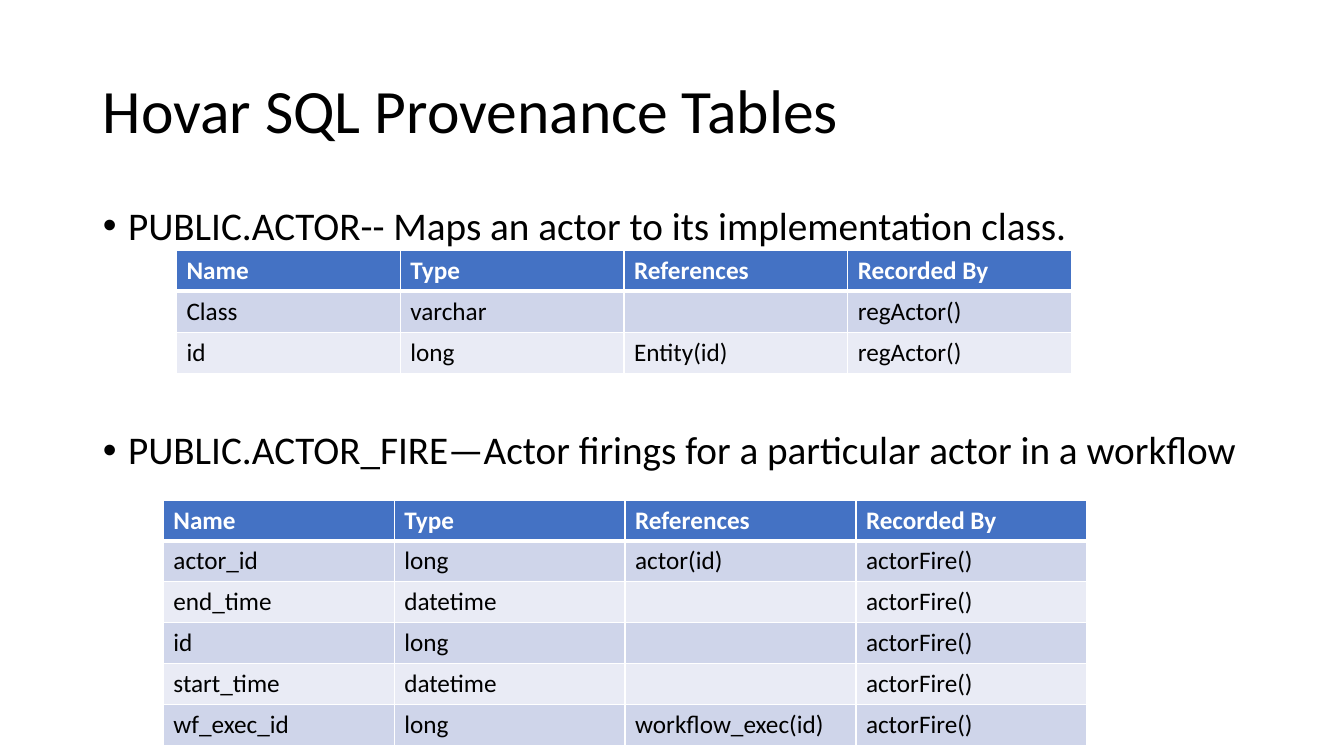
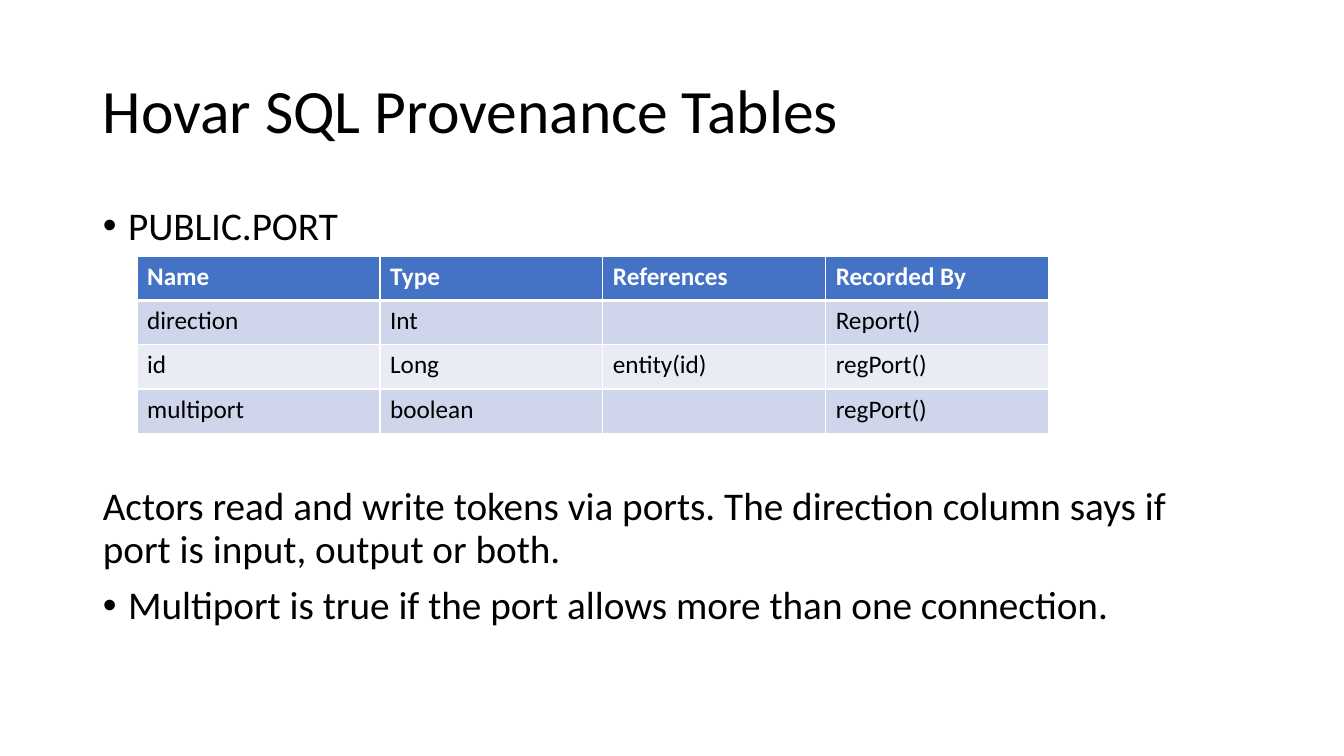
from lxml.etree import SubElement
from pptx import Presentation
from pptx.dml.color import RGBColor
from pptx.enum.text import MSO_ANCHOR, MSO_AUTO_SIZE, PP_ALIGN
from pptx.oxml.ns import qn
from pptx.util import Inches, Pt

FONT = "Calibri"
BLACK, WHITE = "000000", "FFFFFF"
HEADER_FILL = "4472C4"
BAND_FILLS = ["CFD5EA", "E9EBF5"]
TITLE = "Hovar SQL Provenance Tables"
TITLE_BOX = (0.92, 0.4, 11.5, 1.45)
COLUMNS = ["Name", "Type", "References", "Recorded By"]
LINE_GAP = 10


def rgb(color):
    return RGBColor.from_string(color)


def add_run(paragraph, text, size, color=BLACK, bold=False):
    run = paragraph.add_run()
    run.text = text
    run.font.name = FONT
    run.font.size = Pt(size)
    run.font.bold = bold
    run.font.color.rgb = rgb(color)


def place(placeholder, box, anchor):
    placeholder.left, placeholder.top, placeholder.width, placeholder.height = map(Inches, box)
    frame = placeholder.text_frame
    frame.word_wrap = True
    frame.auto_size = MSO_AUTO_SIZE.NONE
    frame.vertical_anchor = anchor
    return frame


def format_paragraph(paragraph, gap):
    paragraph.alignment = PP_ALIGN.LEFT
    paragraph.line_spacing = 0.9
    paragraph.space_before = Pt(gap)


def set_bullet(paragraph, bulleted):
    properties = paragraph._p.get_or_add_pPr()
    indent = Inches(0.25) if bulleted else 0
    properties.set("marL", str(indent))
    properties.set("indent", str(-indent))
    if bulleted:
        SubElement(properties, qn("a:buFont"), typeface="Arial")
        SubElement(properties, qn("a:buChar"), char="•")
    else:
        SubElement(properties, qn("a:buNone"))


def fill_title(slide):
    heading = place(slide.shapes.title, TITLE_BOX, MSO_ANCHOR.MIDDLE).paragraphs[0]
    format_paragraph(heading, 0)
    add_run(heading, TITLE, 44)


def fill_body(slide, box, points):
    frame = place(slide.placeholders[1], box, MSO_ANCHOR.TOP)
    for index, (text, gap, bulleted) in enumerate(points):
        point = frame.paragraphs[0] if index == 0 else frame.add_paragraph()
        format_paragraph(point, gap)
        set_bullet(point, bulleted)
        add_run(point, text, 28)


def set_borders(cell, top, bottom):
    properties = cell._tc.get_or_add_tcPr()
    for side, width in (("L", 1), ("R", 1), ("T", top), ("B", bottom)):
        border = SubElement(properties, qn(f"a:ln{side}"), w=str(Pt(width)))
        SubElement(SubElement(border, qn("a:solidFill")), qn("a:srgbClr"), val=WHITE)


def add_schema_table(slide, left, top, widths, row_height, fields):
    rows = [COLUMNS] + fields
    table = slide.shapes.add_table(
        len(rows), len(COLUMNS), Inches(left), Inches(top),
        Inches(sum(widths)), Inches(row_height * len(rows))).table
    for column, width in zip(table.columns, widths):
        column.width = Inches(width)
    for r, values in enumerate(rows):
        table.rows[r].height = Inches(row_height)
        header = r == 0
        for c, value in enumerate(values):
            cell = table.cell(r, c)
            set_borders(cell, 3 if r == 1 else 1, 3 if header else 1)
            cell.fill.solid()
            cell.fill.fore_color.rgb = rgb(HEADER_FILL if header else BAND_FILLS[(r - 1) % 2])
            if value:
                add_run(cell.text_frame.paragraphs[0], value, 18,
                        WHITE if header else BLACK, header)


def add_schema_slide(deck, body_box, points, tables):
    slide = deck.slides.add_slide(deck.slide_layouts[1])
    fill_title(slide)
    fill_body(slide, body_box, points)
    for table in tables:
        add_schema_table(slide, *table)


ACTOR_FIELDS = [
    ["Class", "varchar", "", "regActor()"],
    ["id", "long", "Entity(id)", "regActor()"],
]
ACTOR_FIRE_FIELDS = [
    ["actor_id", "long", "actor(id)", "actorFire()"],
    ["end_time", "datetime", "", "actorFire()"],
    ["id", "long", "", "actorFire()"],
    ["start_time", "datetime", "", "actorFire()"],
    ["wf_exec_id", "long", "workflow_exec(id)", "actorFire()"],
]
PORT_FIELDS = [
    ["direction", "Int", "", "Report()"],
    ["id", "Long", "entity(id)", "regPort()"],
    ["multiport", "boolean", "", "regPort()"],
]

deck = Presentation()
deck.slide_width, deck.slide_height = Inches(13.33), Inches(7.5)

add_schema_slide(
    deck, (0.92, 2, 11.67, 5.5),
    [("PUBLIC.ACTOR-- Maps an actor to its implementation class.", LINE_GAP, True),
     ("PUBLIC.ACTOR_FIRE—Actor firings for a particular actor in a workflow", 130, True)],
    [(1.75, 2.48, [2.22] * 4, 0.41, ACTOR_FIELDS),
     (1.62, 4.96, [2.29] * 4, 0.4, ACTOR_FIRE_FIELDS)])

add_schema_slide(
    deck, (0.92, 2, 11.5, 4.76),
    [("PUBLIC.PORT", LINE_GAP, True),
     ("Actors read and write tokens via ports. The direction column says if "
      "port is input, output or both.", 170, False),
     ("Multiport is true if the port allows more than one connection.", LINE_GAP, True)],
    [(1.36, 2.54, [2.41] + [2.21] * 3, 0.44, PORT_FIELDS)])

deck.save("out.pptx")
